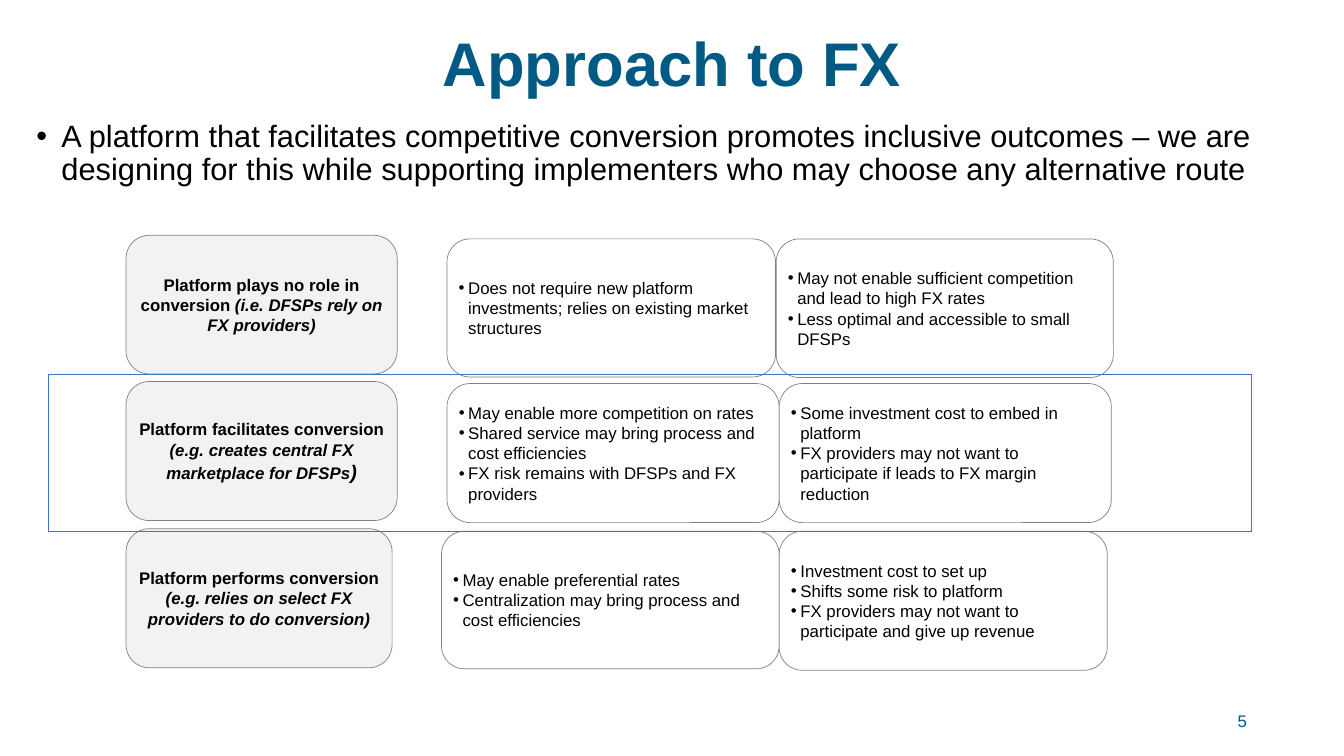
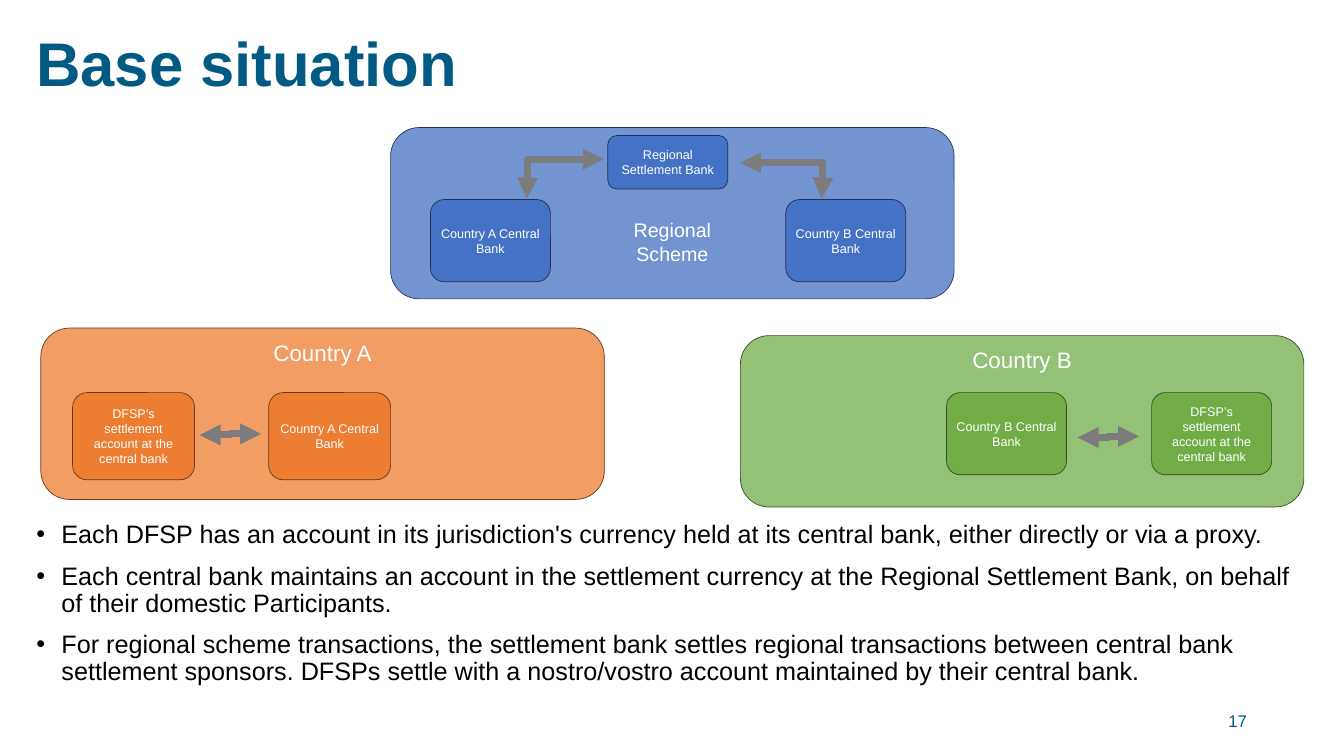
from lxml.etree import SubElement
from pptx import Presentation
from pptx.dml.color import RGBColor
from pptx.enum.shapes import MSO_CONNECTOR, MSO_SHAPE
from pptx.enum.text import MSO_ANCHOR, MSO_AUTO_SIZE, PP_ALIGN
from pptx.oxml.ns import qn
from pptx.util import Pt

FONT = "Arial"
COLORS = {
    "title": "005A83", "text": "000000", "white": "FFFFFF",
    "option": "F2F2F2", "border": "808080", "arrow": "7C7C7C",
    "blue": "4472C4", "blue_edge": "1E3256",
    "green": "70AD47", "green_edge": "314C1F",
    "orange": "ED7D31", "orange_edge": "683715",
}
CONTENT_LEFT, CONTENT_WIDTH = 44.6, 1831

OPTIONS = [
    ((180, 336.2, 387.4, 198),
     [("Platform plays no role in conversion ", False, 24),
      ("(i.e. DFSPs rely on FX providers)", True, 24)],
     (638.6, 341.3, 469.4, 197.3),
     ["Does not require new platform investments; relies on existing market structures"],
     (1108.8, 341.3, 481.7, 198),
     ["May not enable sufficient competition and lead to high FX rates",
      "Less optimal and accessible to small DFSPs"]),
    ((180, 545, 387.4, 198.7),
     [("Platform facilitates conversion ", False, 24),
      ("(e.g. creates central FX marketplace for DFSPs", True, 24),
      (")", True, 28)],
     (638.6, 547.9, 474.5, 198.7),
     ["May enable more competition on rates",
      "Shared service may bring process and cost efficiencies",
      "FX risk remains with DFSPs and FX providers"],
     (1113.1, 547.9, 474.5, 198.7),
     ["Some investment cost to embed in platform",
      "FX providers may not want to participate if leads to FX margin reduction"]),
    ((180, 755.3, 380.2, 198.7),
     [("Platform performs conversion ", False, 24),
      ("(e.g. relies on select FX providers to do conversion)", True, 24)],
     (630.7, 758.9, 482.4, 196.6),
     ["May enable preferential rates",
      "Centralization may bring process and cost efficiencies"],
     (1113.1, 758.9, 468.7, 198.7),
     ["Investment cost to set up",
      "Shifts some risk to platform",
      "FX providers may not want to participate and give up revenue"]),
]

SCHEME_SIZE = (805, 244.8)
DFSP_ACCOUNT = "DFSP’s settlement account at the central bank"
BANK_A, BANK_B = "Country A Central Bank", "Country B Central Bank"
ZONES = [
    ("blue", (558, 182.2), ["Regional", "Scheme"], 28, MSO_ANCHOR.BOTTOM),
    ("green", (1057.7, 479.5), ["Country B"], 32, MSO_ANCHOR.TOP),
    ("orange", (58.3, 468.7), ["Country A"], 32, MSO_ANCHOR.TOP),
]
BANKS = [
    ("orange", (103.7, 560.9, 174.2, 124.6), DFSP_ACCOUNT),
    ("orange", (383.8, 560.9, 174.2, 124.6), BANK_A),
    ("blue", (614.9, 285.1, 171.4, 117.4), BANK_A),
    ("blue", (1122.5, 285.1, 171.4, 117.4), BANK_B),
    ("green", (1352.2, 560.9, 171.4, 117.4), BANK_B),
    ("green", (1645.2, 560.9, 171.4, 117.4), DFSP_ACCOUNT),
    ("blue", (868.3, 193.7, 171.4, 76.3), "Regional Settlement Bank"),
]
ARROWS = [
    ((285.1, 621.4), (373, 619.9), 50000),
    ((1539.4, 625), (1627.2, 623.5), 50000),
    ((752.4, 283.7), (862.6, 227.5), 1200),
    ((1173.6, 283.7), (1057, 232.6), -1600),
]


def rgb(name):
    return RGBColor.from_string(COLORS[name])


def place(sp, box):
    sp.left, sp.top, sp.width, sp.height = (Pt(v) for v in box)


def format_run(r, size, color, bold=False, italic=False):
    r.font.name = FONT
    r.font.size = Pt(size)
    r.font.bold = bold
    r.font.italic = italic
    r.font.color.rgb = rgb(color)


def write_lines(tf, lines, size, color, align):
    tf.text = "\n".join(lines)
    for p in tf.paragraphs:
        p.alignment = align
        format_run(p.runs[0], size, color)


def add_bullets(tf, indent):
    for p in tf.paragraphs:
        pPr = p._p.get_or_add_pPr()
        pPr.set("marL", str(Pt(indent)))
        pPr.set("indent", str(-Pt(indent)))
        SubElement(pPr, qn("a:buFont")).set("typeface", FONT)
        SubElement(pPr, qn("a:buChar")).set("char", "•")


def add_title(s, text, align):
    sp = s.shapes.title
    place(sp, (CONTENT_LEFT, 36.7, CONTENT_WIDTH, 117.4))
    tf = sp.text_frame
    tf.text = text
    tf.auto_size = MSO_AUTO_SIZE.NONE
    tf.vertical_anchor = MSO_ANCHOR.MIDDLE
    p = tf.paragraphs[0]
    p.alignment = align
    p.line_spacing = 0.9
    format_run(p.runs[0], 88, "title", bold=True)


def add_body(s, lines, size, top, height):
    sp = s.placeholders[1]
    place(sp, (CONTENT_LEFT, top, CONTENT_WIDTH, height))
    tf = sp.text_frame
    write_lines(tf, lines, size, "text", PP_ALIGN.LEFT)
    tf.auto_size = MSO_AUTO_SIZE.NONE
    add_bullets(tf, 36)
    for i, p in enumerate(tf.paragraphs):
        p.line_spacing = 0.9
        p.space_before = Pt(20 if i else 0)


def add_page_number(s, number):
    sp = s.shapes.add_textbox(Pt(1356.5), Pt(1000.8), Pt(432), Pt(57.6))
    tf = sp.text_frame
    tf.word_wrap = True
    tf.vertical_anchor = MSO_ANCHOR.MIDDLE
    write_lines(tf, [str(number)], 24, "title", PP_ALIGN.RIGHT)


def add_slide(prs, title, align, number):
    s = prs.slides.add_slide(prs.slide_layouts[1])
    add_title(s, title, align)
    add_page_number(s, number)
    return s


def add_box(s, box, fill, edge, kind=MSO_SHAPE.ROUNDED_RECTANGLE, anchor=MSO_ANCHOR.MIDDLE):
    sp = s.shapes.add_shape(kind, *(Pt(v) for v in box))
    sp.shadow.inherit = False
    if fill:
        sp.fill.solid()
        sp.fill.fore_color.rgb = rgb(fill)
    else:
        sp.fill.background()
    sp.line.color.rgb = rgb(edge)
    sp.line.width = Pt(1)
    sp.text_frame.word_wrap = True
    sp.text_frame.vertical_anchor = anchor
    return sp


def add_option(s, box, parts):
    p = add_box(s, box, "option", "border").text_frame.paragraphs[0]
    p.alignment = PP_ALIGN.CENTER
    for text, italic, size in parts:
        r = p.add_run()
        r.text = text
        format_run(r, size, "text", bold=True, italic=italic)


def add_points(s, box, lines):
    tf = add_box(s, box, "white", "border").text_frame
    write_lines(tf, lines, 24, "text", PP_ALIGN.LEFT)
    add_bullets(tf, 13.5)


def add_zone(s, color, corner, lines, size, anchor):
    sp = add_box(s, corner + SCHEME_SIZE, color, color + "_edge", anchor=anchor)
    clr = sp._element.spPr.find(qn("a:solidFill")).find(qn("a:srgbClr"))
    SubElement(clr, qn("a:alpha")).set("val", "75000")
    write_lines(sp.text_frame, lines, size, "white", PP_ALIGN.CENTER)
    if anchor == MSO_ANCHOR.BOTTOM:
        sp.text_frame.margin_bottom = Pt(36)


def add_bank(s, color, box, text):
    sp = add_box(s, box, color, color + "_edge")
    write_lines(sp.text_frame, [text], 18, "white", PP_ALIGN.CENTER)


def add_arrow(s, start, end, bend):
    c = s.shapes.add_connector(MSO_CONNECTOR.ELBOW, *(Pt(v) for v in start + end))
    c.line.color.rgb = rgb("arrow")
    c.line.width = Pt(10)
    spPr = c._element.spPr
    guide = SubElement(spPr.find(qn("a:prstGeom")).find(qn("a:avLst")), qn("a:gd"))
    guide.set("name", "adj1")
    guide.set("fmla", f"val {bend}")
    for tip in ("a:headEnd", "a:tailEnd"):
        SubElement(spPr.find(qn("a:ln")), qn(tip)).set("type", "triangle")
    SubElement(spPr, qn("a:effectLst"))


def build_approach(prs):
    s = add_slide(prs, "Approach to FX", PP_ALIGN.CENTER, 5)
    add_body(s, ["A platform that facilitates competitive conversion promotes inclusive "
                 "outcomes – we are designing for this while supporting implementers "
                 "who may choose any alternative route"], 44, 169.2, 803.5)
    for option_box, parts, pros_box, pros, cons_box, cons in OPTIONS:
        add_option(s, option_box, parts)
        add_points(s, pros_box, pros)
        add_points(s, cons_box, cons)
    add_box(s, (69.8, 535, 1717.9, 224.6), None, "blue", MSO_SHAPE.RECTANGLE)


def build_base_situation(prs):
    s = add_slide(prs, "Base situation", PP_ALIGN.LEFT, 17)
    add_body(s, [
        "Each DFSP has an account in its jurisdiction's currency held at its central "
        "bank, either directly or via a proxy.",
        "Each central bank maintains an account in the settlement currency at the "
        "Regional Settlement Bank, on behalf of their domestic Participants.",
        "For regional scheme transactions, the settlement bank settles regional "
        "transactions between central bank settlement sponsors. DFSPs settle with a "
        "nostro/vostro account maintained by their central bank.",
    ], 36, 742.3, 258.5)
    for zone in ZONES:
        add_zone(s, *zone)
    for bank in BANKS:
        add_bank(s, *bank)
    for arrow in ARROWS:
        add_arrow(s, *arrow)


def main():
    prs = Presentation()
    prs.slide_width, prs.slide_height = Pt(1920), Pt(1080)
    build_approach(prs)
    build_base_situation(prs)
    prs.save("out.pptx")


if __name__ == "__main__":
    main()
